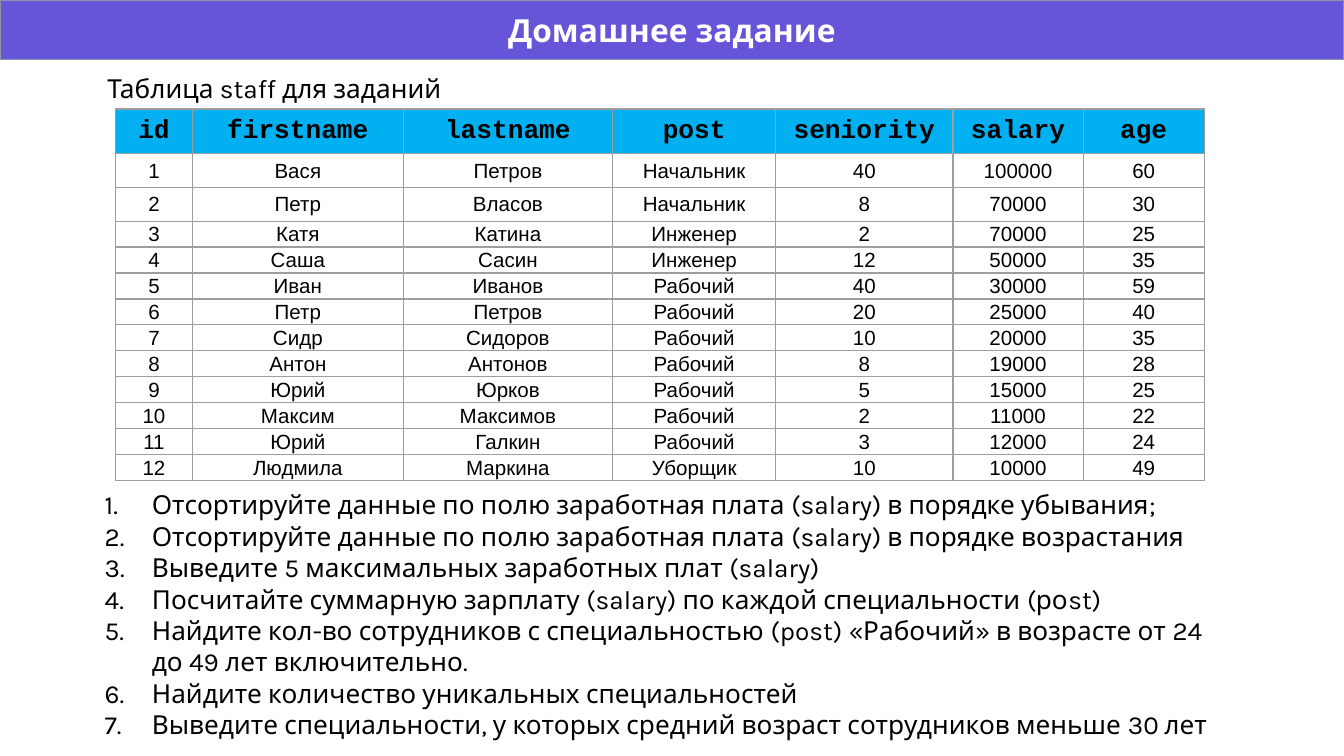
"""Build the homework slide: a staff table and seven numbered query tasks."""
from lxml import etree
from pptx import Presentation
from pptx.dml.color import RGBColor
from pptx.enum.text import MSO_ANCHOR, MSO_AUTO_SIZE, PP_ALIGN
from pptx.oxml.ns import qn
from pptx.util import Cm, Pt

MIDDLE, TOP = MSO_ANCHOR.MIDDLE, MSO_ANCHOR.TOP
CENTER, LEFT = PP_ALIGN.CENTER, PP_ALIGN.LEFT
NO_FIT, GROW = MSO_AUTO_SIZE.NONE, MSO_AUTO_SIZE.SHAPE_TO_FIT_TEXT

PURPLE = RGBColor(0x66, 0x54, 0xD9)
BANNER_EDGE = RGBColor(0x8F, 0x93, 0xA3)
HEADER_BLUE = RGBColor(0x00, 0xB0, 0xF0)
GRID_GRAY = RGBColor(0x9E, 0x9E, 0x9E)
BLACK = RGBColor(0x00, 0x00, 0x00)
WHITE = RGBColor(0xFF, 0xFF, 0xFF)

TITLE = "Домашнее задание"
CAPTION = "Таблица staff для заданий"
HEADERS = ["id", "firstname", "lastname", "post", "seniority", "salary", "age"]
STAFF = [
    ("Вася", "Петров", "Начальник", 40, 100000, 60),
    ("Петр", "Власов", "Начальник", 8, 70000, 30),
    ("Катя", "Катина", "Инженер", 2, 70000, 25),
    ("Саша", "Сасин", "Инженер", 12, 50000, 35),
    ("Иван", "Иванов", "Рабочий", 40, 30000, 59),
    ("Петр", "Петров", "Рабочий", 20, 25000, 40),
    ("Сидр", "Сидоров", "Рабочий", 10, 20000, 35),
    ("Антон", "Антонов", "Рабочий", 8, 19000, 28),
    ("Юрий", "Юрков", "Рабочий", 5, 15000, 25),
    ("Максим", "Максимов", "Рабочий", 2, 11000, 22),
    ("Юрий", "Галкин", "Рабочий", 3, 12000, 24),
    ("Людмила", "Маркина", "Уборщик", 10, 10000, 49),
]
TASKS = [
    "Отсортируйте данные по полю заработная плата (salary) в порядке убывания;",
    "Отсортируйте данные по полю заработная плата (salary) в порядке возрастания",
    "Выведите 5 максимальных заработных плат (salary)",
    "Посчитайте суммарную зарплату (salary) по каждой специальности (роst)",
    "Найдите кол-во сотрудников с специальностью (post) «Рабочий» в возрасте "
    "от 24 до 49 лет включительно.",
    "Найдите количество уникальных специальностей",
    "Выведите специальности, у которых средний возраст сотрудников меньше 30 лет",
]

SLIDE_WIDTH, SLIDE_HEIGHT = 25.4, 14.29
BANNER_HEIGHT = 1.12
COLUMN_WIDTHS = [1.46, 3.98, 3.96, 3.08, 3.35, 2.46, 2.29]
ROW_HEIGHTS = [0.84] + [0.64] * 2 + [0.49] * 10


def write(paragraph, text, font="Karla", size=14, color=BLACK, bold=False, align=LEFT):
    paragraph.alignment = align
    run = paragraph.add_run()
    run.text = text
    run.font.name = font
    run.font.size = Pt(size)
    run.font.bold = bold
    run.font.color.rgb = color


def set_frame(frame, anchor=TOP, fit=GROW):
    frame.word_wrap = True
    frame.auto_size = fit
    frame.vertical_anchor = anchor
    frame.margin_left = frame.margin_right = Cm(0.25)
    frame.margin_top = frame.margin_bottom = Cm(0.25)


def add_box(slide, left, top, width, height):
    frame = slide.shapes.add_textbox(Cm(left), Cm(top), Cm(width), Cm(height)).text_frame
    set_frame(frame)
    return frame


def number_paragraph(paragraph):
    properties = paragraph._p.get_or_add_pPr()
    properties.set("marL", str(Cm(1.27)))
    properties.set("indent", str(-Cm(0.89)))
    bullet_color = etree.SubElement(properties, qn("a:buClr"))
    etree.SubElement(bullet_color, qn("a:srgbClr"), val=str(BLACK))
    etree.SubElement(properties, qn("a:buFont"), typeface="Karla")
    etree.SubElement(properties, qn("a:buAutoNum"), type="arabicPeriod")


def add_borders(cell):
    properties = cell._tc.get_or_add_tcPr()
    for side in ("lnL", "lnR", "lnT", "lnB"):
        border = etree.SubElement(properties, qn(f"a:{side}"), w=str(Pt(0.75)))
        fill = etree.SubElement(border, qn("a:solidFill"))
        etree.SubElement(fill, qn("a:srgbClr"), val=str(GRID_GRAY))


def add_banner(slide):
    banner = slide.shapes.title
    banner.left, banner.top = Cm(0), Cm(0)
    banner.width, banner.height = Cm(SLIDE_WIDTH), Cm(BANNER_HEIGHT)
    banner.fill.solid()
    banner.fill.fore_color.rgb = PURPLE
    banner.line.color.rgb = BANNER_EDGE
    banner.line.width = Pt(0.75)
    set_frame(banner.text_frame, MIDDLE, NO_FIT)
    write(banner.text_frame.paragraphs[0], TITLE, size=17, color=WHITE, bold=True, align=CENTER)


def add_staff_table(slide):
    rows = [HEADERS] + [(number, *person) for number, person in enumerate(STAFF, 1)]
    table = slide.shapes.add_table(
        len(rows), len(HEADERS), Cm(2.18), Cm(2.06),
        Cm(sum(COLUMN_WIDTHS)), Cm(sum(ROW_HEIGHTS))).table
    table.first_row = table.horz_banding = False
    for column, width in zip(table.columns, COLUMN_WIDTHS):
        column.width = Cm(width)
    for row, height, values in zip(table.rows, ROW_HEIGHTS, rows):
        row.height = Cm(height)
        for cell, value in zip(row.cells, values):
            add_borders(cell)
            cell.vertical_anchor = MIDDLE
            cell.margin_left = cell.margin_right = cell.margin_top = Cm(0.02)
            cell.margin_bottom = Cm(0)
            paragraph = cell.text_frame.paragraphs[0]
            if values is HEADERS:
                cell.fill.solid()
                cell.fill.fore_color.rgb = HEADER_BLUE
                write(paragraph, value, font="Courier New", bold=True, align=CENTER)
            else:
                cell.fill.background()
                write(paragraph, str(value), font="Arial", size=11, align=CENTER)


def add_tasks(slide):
    frame = add_box(slide, 1.35, 8.99, 22.22, 5.31)
    for index, task in enumerate(TASKS):
        paragraph = frame.add_paragraph() if index else frame.paragraphs[0]
        write(paragraph, task)
        number_paragraph(paragraph)


def main():
    presentation = Presentation()
    presentation.slide_width, presentation.slide_height = Cm(SLIDE_WIDTH), Cm(SLIDE_HEIGHT)
    slide = presentation.slides.add_slide(presentation.slide_layouts[5])
    add_banner(slide)
    write(add_box(slide, 1.78, BANNER_HEIGHT, 16.18, 1.12).paragraphs[0], CAPTION)
    add_tasks(slide)
    add_staff_table(slide)
    presentation.save("out.pptx")


if __name__ == "__main__":
    main()
